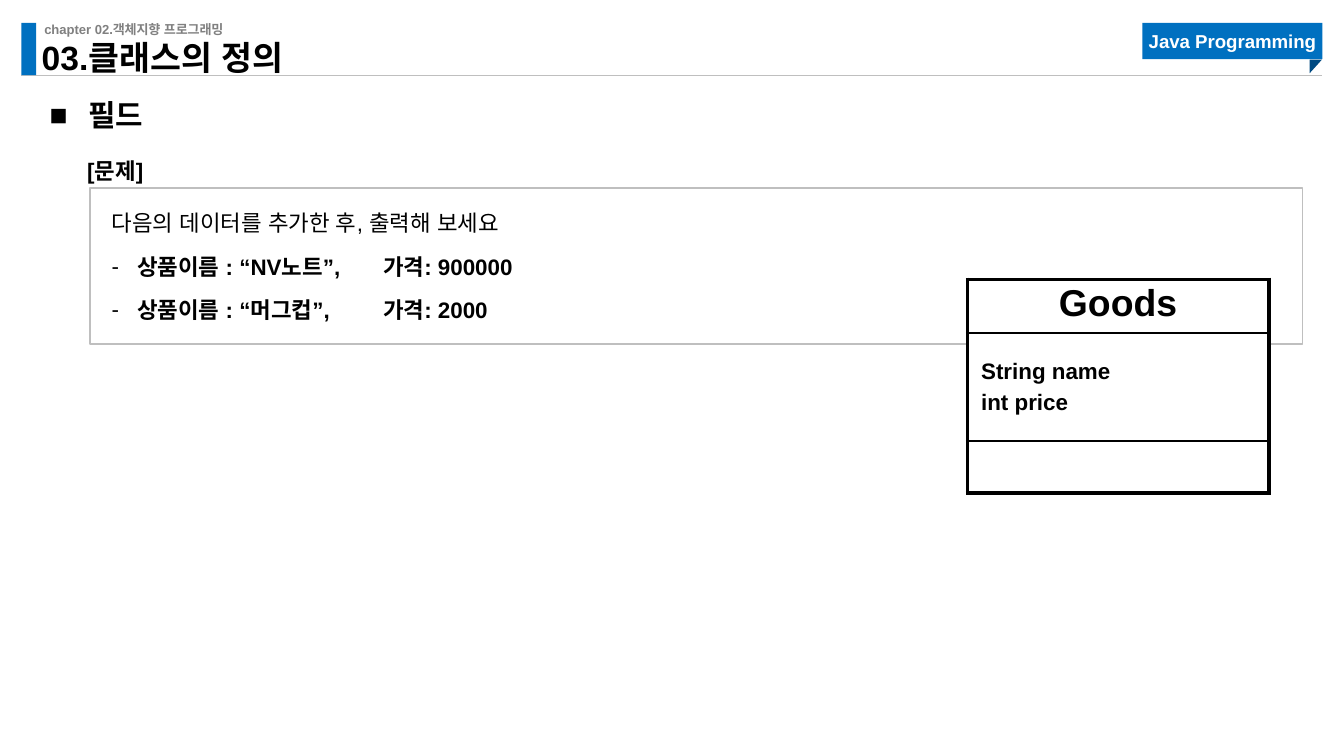
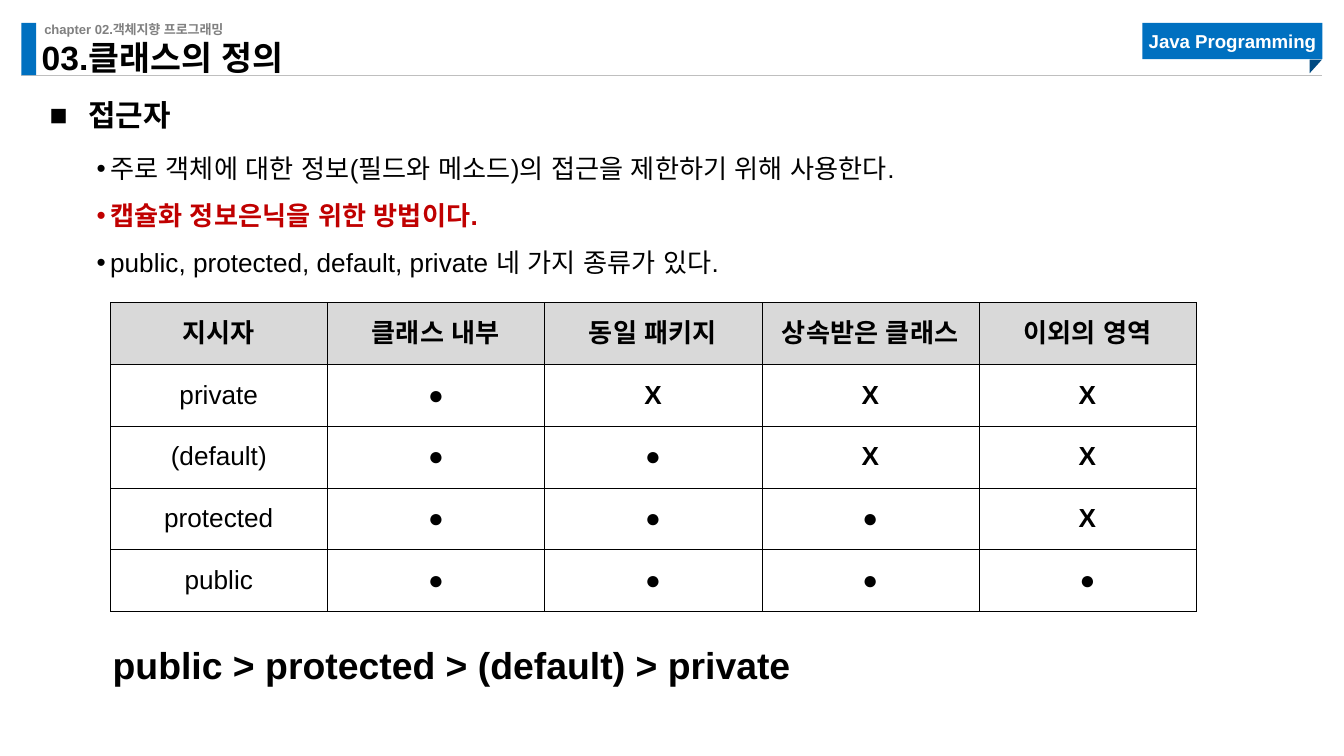
from lxml import etree
from pptx import Presentation
from pptx.dml.color import RGBColor
from pptx.enum.shapes import MSO_CONNECTOR, MSO_SHAPE
from pptx.enum.text import MSO_ANCHOR, MSO_AUTO_SIZE, PP_ALIGN
from pptx.oxml.ns import qn
from pptx.util import Inches, Pt

RECT, FOLD = MSO_SHAPE.RECTANGLE, MSO_SHAPE.RIGHT_TRIANGLE
STRAIGHT = MSO_CONNECTOR.STRAIGHT
TOP, MIDDLE, BOTTOM = MSO_ANCHOR.TOP, MSO_ANCHOR.MIDDLE, MSO_ANCHOR.BOTTOM
LEFT, CENTER = PP_ALIGN.LEFT, PP_ALIGN.CENTER
NO_FIT = MSO_AUTO_SIZE.NONE

FONT = "Arial"
BLACK, WHITE, BLUE, NAVY = "000000", "FFFFFF", "0070C0", "004A82"
RULE, GRAY, SHADE, RED = "BFBFBF", "808080", "D9D9D9", "C00000"
FLUSH = (0, 0, 0, 0)
PAD = (0.1, 0.05, 0.1, 0.05)
THICK, THIN, HAIR = 2.25, 1, 0.25


def color(value):
    """Turn a hex string into a colour."""
    return RGBColor.from_string(value)


def spot(left, top, width, height):
    """Give a place and size in inches as lengths."""
    return Inches(left), Inches(top), Inches(width), Inches(height)


def bullet(para, mark, left, hang):
    """Hang a bullet character in front of a paragraph."""
    props = para._p.get_or_add_pPr()
    props.set("marL", str(Inches(left)))
    props.set("indent", str(-Inches(hang)))
    etree.SubElement(props, qn("a:buFont"), typeface=FONT)
    etree.SubElement(props, qn("a:buChar")).set("char", mark)


def tab(para, place):
    """Add a left tab stop to a paragraph."""
    stops = etree.SubElement(para._p.get_or_add_pPr(), qn("a:tabLst"))
    etree.SubElement(stops, qn("a:tab"), pos=str(place), algn="l")


def style(para, size, bold=False, ink=BLACK, align=LEFT, line=1.0, before=0):
    """Set the font, also for Korean, and the spacing of a paragraph."""
    font = para.font
    font.name, font.size, font.bold = FONT, Pt(size), bold
    font.color.rgb = color(ink)
    base = para._p.pPr.find(qn("a:defRPr"))
    etree.SubElement(base, qn("a:ea"), typeface=FONT)
    para.alignment, para.line_spacing = align, line
    para.space_before = Pt(before)


def frame(shape, inset=PAD, anchor=TOP):
    """Prepare the text frame of a shape."""
    text = shape.text_frame
    text.word_wrap, text.auto_size = True, NO_FIT
    text.vertical_anchor = anchor
    (text.margin_left, text.margin_top,
     text.margin_right, text.margin_bottom) = map(Inches, inset)
    return text


def lines(text, words):
    """Fill a text frame and return its paragraphs."""
    text.text = "\n".join(words)
    return text.paragraphs


def label(slide, place, words, size, inset=PAD, ink=BLACK):
    """Add a bold one-line text box."""
    box = slide.shapes.add_textbox(*spot(*place))
    para, = lines(frame(box, inset), [words])
    style(para, size, True, ink)


def block(shapes, kind, place, fill=None, edge=None):
    """Add a preset shape with a plain fill or a thin edge."""
    shape = shapes.add_shape(kind, *spot(*place))
    shape.shadow.inherit = False
    if fill:
        shape.fill.solid()
        shape.fill.fore_color.rgb = color(fill)
    else:
        shape.fill.background()
    if edge:
        shape.line.color.rgb = color(edge)
        shape.line.width = Pt(0.75)
    else:
        shape.line.fill.background()
    return shape


def header(slide):
    """Draw the band that all slides share."""
    rule = slide.shapes.add_connector(
        STRAIGHT, Inches(0.16), Inches(0.56), Inches(9.84), Inches(0.56))
    rule.line.color.rgb, rule.line.width = color(RULE), Pt(0.5)
    etree.SubElement(rule._element.spPr, qn("a:effectLst"))
    block(slide.shapes, RECT, (0.16, 0.17, 0.11, 0.39), BLUE)
    label(slide, (0.33, 0.16, 3.23, 0.12), "chapter 02.객체지향 프로그래밍",
          7, FLUSH, GRAY)
    group = slide.shapes.add_group_shape().shapes
    badge = block(group, RECT, (8.5, 0.17, 1.34, 0.27), BLUE)
    para, = lines(frame(badge, FLUSH, MIDDLE), ["Java Programming"])
    style(para, 10, True, WHITE, CENTER)
    block(group, FOLD, (9.74, 0.45, 0.1, 0.09), NAVY).rotation = 90


def start(deck, topic):
    """Add a slide with header, title and topic line."""
    slide = deck.slides.add_slide(deck.slide_layouts[5])
    header(slide)
    title = slide.shapes.title
    title.left, title.top, title.width, title.height = spot(
        0.31, 0.35, 3.3, 0.23)
    para, = lines(frame(title, FLUSH, BOTTOM), ["03.클래스의 정의"])
    style(para, 18, True, line=0.9)
    box = slide.shapes.add_textbox(*spot(0.37, 0.59, 9.54, 0.33))
    para, = lines(frame(box, FLUSH), [topic])
    bullet(para, "■", 0.29, 0.29)
    style(para, 16, True, line=1.5)
    return slide


def grid(slide, place, rows, cols):
    """Add a table without a banded style."""
    table = slide.shapes.add_table(rows, cols, *spot(*place)).table
    table.first_row = table.horz_banding = False
    return table


def dress(cell, widths, fill=None, inset=PAD, anchor=MIDDLE):
    """Set borders (left, right, top, bottom), fill and insets of a cell."""
    props = cell._tc.get_or_add_tcPr()
    for side, width in zip("LRTB", widths):
        edge = etree.SubElement(props, qn(f"a:ln{side}"), w=str(Pt(width)))
        paint = etree.SubElement(edge, qn("a:solidFill"))
        etree.SubElement(paint, qn("a:srgbClr"), val=BLACK)
    if fill:
        cell.fill.solid()
        cell.fill.fore_color.rgb = color(fill)
    else:
        cell.fill.background()
    cell.vertical_anchor = anchor
    (cell.margin_left, cell.margin_top,
     cell.margin_right, cell.margin_bottom) = map(Inches, inset)


def task(slide):
    """Add the boxed exercise."""
    label(slide, (0.55, 1.12, 2.38, 0.3), "[문제]", 12)
    box = block(slide.shapes, RECT, (0.67, 1.4, 9.02, 1.16), edge=RULE)
    paras = lines(frame(box, (0.16, 0.12, 0.16, 0)), [
        "다음의 데이터를 추가한 후, 출력해 보세요",
        "상품이름 : “NV노트”,\t가격: 900000",
        "상품이름 : “머그컵”,\t가격: 2000"])
    for rank, para in enumerate(paras):
        if rank:
            bullet(para, "-", 0.19, 0.19)
            tab(para, Inches(2.02))
        style(para, 12, rank > 0, line=1.2, before=6)


def model(slide):
    """Add the class diagram: name, fields, methods."""
    table = grid(slide, (7.2, 2.08, 2.24, 1.6), 3, 1)
    parts = [(0.4, ["Goods"], 20, CENTER, 0.9, TOP),
             (0.8, ["String name", "int price"], 12, LEFT, 1.0, MIDDLE),
             (0.39, [""], 12, LEFT, 1.0, TOP)]
    edges = [THICK, THIN, THIN, THICK]
    for row, (tall, words, size, align, line, anchor) in enumerate(parts):
        table.rows[row].height = Inches(tall)
        cell = table.cell(row, 0)
        dress(cell, (THICK, THICK, edges[row], edges[row + 1]), WHITE,
              anchor=anchor)
        for para in lines(cell.text_frame, words):
            style(para, size, True, align=align, line=line, before=size / 4)


def points(slide):
    """Add the bullet list on access modifiers."""
    box = slide.shapes.add_textbox(*spot(0.42, 1.02, 9.16, 0.47))
    paras = lines(frame(box, (0, 0, 0.1, 0.05)), [
        "주로 객체에 대한 정보(필드와 메소드)의 접근을 제한하기 위해 사용한다.",
        "캡슐화 정보은닉을 위한 방법이다.",
        "public, protected, default, private 네 가지 종류가 있다."])
    for rank, para in enumerate(paras):
        key = rank == 1
        para.level = 1
        bullet(para, "•", 0.4, 0.1)
        style(para, 14, key, RED if key else BLACK, line=1.5)


def access(slide):
    """Add the table of modifiers; each row reaches one area further."""
    heads = ["지시자", "클래스 내부", "동일 패키지", "상속받은 클래스", "이외의 영역"]
    names = ["private", "(default)", "protected", "public"]
    areas = len(heads) - 1
    rows = [heads]
    for reach, name in enumerate(names, 1):
        rows.append([name] + ["●"] * reach + ["X"] * (areas - reach))
    table = grid(slide, (0.82, 2.25, 8.08, 2.3), len(rows), len(heads))
    for row, words in enumerate(rows):
        for col, word in enumerate(words):
            cell, head = table.cell(row, col), row == 0
            dress(cell, [HAIR] * 4, SHADE if head else None,
                  FLUSH if head else PAD)
            para, = lines(cell.text_frame, [word])
            style(para, 14, head or col > 0, align=CENTER,
                  before=0 if head else 2.8)


def main():
    """Build and save the deck."""
    deck = Presentation()
    deck.slide_width = Inches(10)
    deck.slide_height = deck.slide_width * 9 // 16
    field = start(deck, "필드")
    task(field)
    model(field)
    scope = start(deck, "접근자")
    points(scope)
    access(scope)
    label(scope, (0.74, 4.73, 6.31, 0.44),
          "public > protected > (default) > private", 20)
    deck.save("out.pptx")


main()
